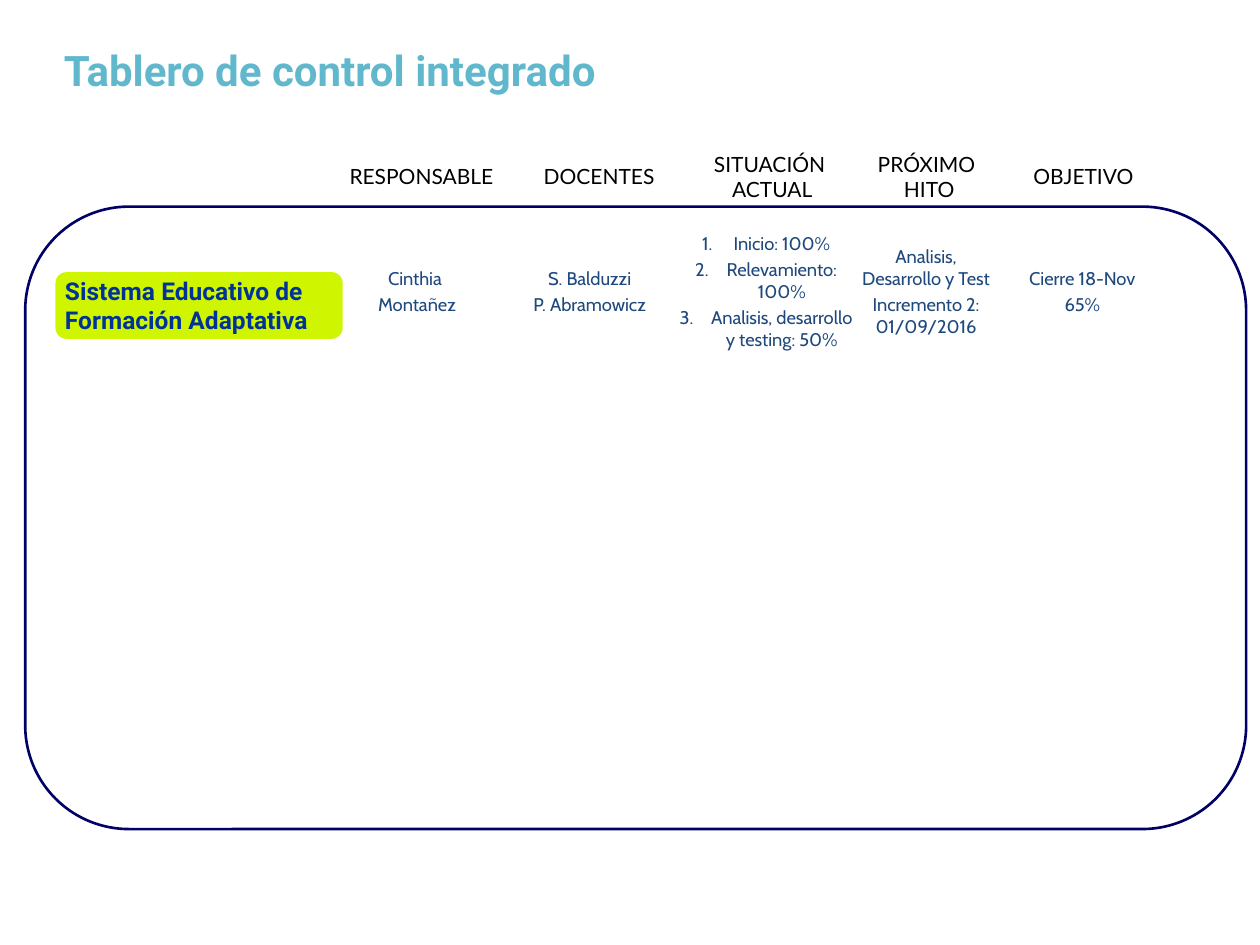
from lxml import etree
from pptx import Presentation
from pptx import util as u
from pptx.dml.color import RGBColor
from pptx.enum import shapes, text
from pptx.oxml.ns import qn

# Content
TITLE = "Tablero de control integrado"
PROJECT = "Sistema Educativo de Formación Adaptativa"
HEADINGS = [["RESPONSABLE"], ["DOCENTES"], ["SITUACIÓN ", "ACTUAL"],
            ["PRÓXIMO ", "HITO"], ["OBJETIVO"]]
STATUS = [
    ["Cinthia ", "Montañez"],
    ["S. Balduzzi", "P. Abramowicz"],
    ["Inicio: 100%", "Relevamiento: 100%", "Analisis, desarrollo y testing: 50%"],
    ["Analisis, Desarrollo y Test", "Incremento 2: 01/09/2016"],
    ["Cierre 18-Nov", "65%"],
]
NUMBERED_COLUMN = 2
COLORS = {"title": "61B8CD", "heading": "000000", "status": "1F497D",
          "project": "003399", "label": "D0F500", "frame": "000066", "paper": "FFFFFF"}

# Grid, in inches
GRID_LEFT, GRID_WIDTH, ROW = 2.64, 6.61, 0.41
HEADING_COLUMNS = [1.41, 1.41, 1.34, 1.15, 1.3]
STATUS_COLUMNS = [1.34, 1.4, 1.4, 1.14, 1.34]

deck = Presentation()
deck.slide_width, deck.slide_height = u.Inches(10), u.Inches(7.5)
slide = deck.slides.add_slide(deck.slide_layouts[6])


def rgb(name):
    return RGBColor.from_string(COLORS[name])


def inches(*lengths):
    return [u.Inches(length) for length in lengths]


def write(frame, lines, font, size, color, bold=False, align=text.PP_ALIGN.LEFT, before=0):
    for i, line in enumerate(lines):
        para = frame.paragraphs[0] if i == 0 else frame.add_paragraph()
        para.alignment, para.space_before = align, u.Pt(before)
        run = para.add_run()
        run.text = line
        run.font.name, run.font.size, run.font.bold = font, u.Pt(size), bold
        run.font.color.rgb = rgb(color)


def number(para):
    props = para._p.get_or_add_pPr()
    props.set("marL", str(u.Inches(0.25)))
    props.set("indent", str(u.Inches(-0.25)))
    etree.SubElement(props, qn("a:buAutoNum")).set("type", "arabicPeriod")


def add_grid(top, height, columns, cells, margins, **style):
    grid = slide.shapes.add_table(
        1, len(columns), *inches(GRID_LEFT, top, GRID_WIDTH, height)).table
    grid.first_row = grid.horz_banding = False
    grid.rows[0].height = u.Inches(ROW)
    for column, width, cell, lines in zip(grid.columns, columns, grid.rows[0].cells, cells):
        column.width = u.Inches(width)
        cell.fill.solid()
        cell.fill.fore_color.rgb = rgb("paper")
        cell.vertical_anchor = text.MSO_ANCHOR.MIDDLE
        cell.margin_left = cell.margin_right = u.Inches(margins[0])
        cell.margin_top = cell.margin_bottom = u.Inches(margins[1])
        write(cell.text_frame, lines, align=text.PP_ALIGN.CENTER, **style)
    return grid


def add_panel(*place):
    panel = slide.shapes.add_shape(
        shapes.MSO_SHAPE.FLOWCHART_ALTERNATE_PROCESS, *inches(*place))
    panel.shadow.inherit = False
    return panel


# Title
title = slide.shapes.add_textbox(*inches(0.41, 0.21, 9, 0.69)).text_frame
title.word_wrap = True
title.vertical_anchor = text.MSO_ANCHOR.MIDDLE
write(title, [TITLE], "Roboto", 24, "title", bold=True)

# Status row, then its headings
status = add_grid(1.81, 1.2, STATUS_COLUMNS, STATUS, (0, 0.04),
                  font="Cabin", size=10.5, color="status", before=2)
for step in status.cell(0, NUMBERED_COLUMN).text_frame.paragraphs:
    number(step)
add_grid(1.15, 0.5, HEADING_COLUMNS, HEADINGS, (0.1, 0.05),
         font="Lato", size=12, color="heading")

# Rounded frame around the board
board = add_panel(0.2, 1.64, 9.69, 4.94)
board.fill.background()
board.line.color.rgb, board.line.width = rgb("frame"), u.Pt(1.5)

# Project label
label = add_panel(0.44, 2.16, 2.28, 0.53)
label.fill.solid()
label.fill.fore_color.rgb = rgb("label")
label.line.fill.background()
project = label.text_frame
project.word_wrap = True
project.vertical_anchor = text.MSO_ANCHOR.MIDDLE
project.margin_left = project.margin_right = u.Inches(0.05)
project.margin_top = project.margin_bottom = u.Inches(0.04)
write(project, [PROJECT], "Roboto", 14, "project", bold=True)

deck.save("out.pptx")
